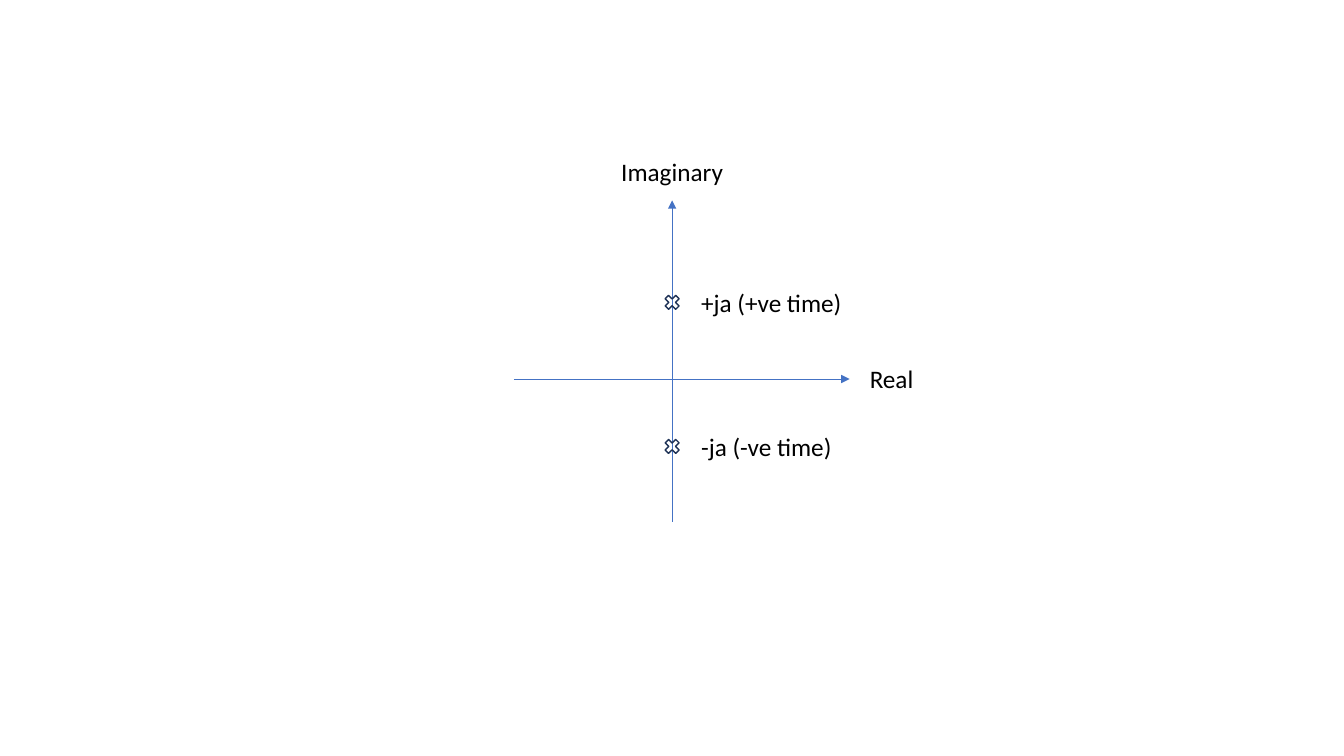
from lxml.etree import SubElement
from pptx import Presentation
from pptx.dml.color import RGBColor
from pptx.enum.shapes import MSO_CONNECTOR, MSO_SHAPE
from pptx.enum.text import MSO_ANCHOR, PP_ALIGN
from pptx.oxml.ns import qn
from pptx.util import Cm, Pt

COLORS = {"axis": "4472C4", "pole": "1E3256", "text": "000000"}
LABEL_FONT = {"name": "Calibri", "size": Pt(18)}
LABEL_HEIGHT = 1.02
POLE_SIZE = 0.51


def color(role):
    return RGBColor.from_string(COLORS[role])


def add_axis(slide, start, end):
    axis = slide.shapes.add_connector(
        MSO_CONNECTOR.STRAIGHT, *(Cm(value) for value in (*start, *end)))
    axis.line.color.rgb = color("axis")
    axis.line.width = Pt(0.5)
    SubElement(axis.line._get_or_add_ln(), qn("a:tailEnd"), type="triangle")
    SubElement(axis._element.spPr, qn("a:effectLst"))


def add_pole(slide, center_x, center_y):
    pole = slide.shapes.add_shape(
        MSO_SHAPE.MATH_MULTIPLY, Cm(center_x - POLE_SIZE / 2),
        Cm(center_y - POLE_SIZE / 2), Cm(POLE_SIZE), Cm(POLE_SIZE))
    pole.shadow.inherit = False
    pole.fill.background()
    pole.line.color.rgb = color("pole")
    pole.line.width = Pt(1)


def add_label(slide, text, left, center_y, width, align=PP_ALIGN.LEFT):
    label = slide.shapes.add_textbox(
        Cm(left), Cm(center_y - LABEL_HEIGHT / 2), Cm(width), Cm(LABEL_HEIGHT))
    frame = label.text_frame
    frame.word_wrap = True
    frame.vertical_anchor = MSO_ANCHOR.TOP
    paragraph = frame.paragraphs[0]
    paragraph.alignment = align
    run = paragraph.add_run()
    run.text = text
    for attribute, value in LABEL_FONT.items():
        setattr(run.font, attribute, value)
    run.font.color.rgb = color("text")


def add_complex_plane(slide, left, top, width, height):
    """Draw both axes to fill the box, with the pole pair on the imaginary one."""
    origin_x, origin_y = left + 3.99, top + 4.5
    right, bottom = left + width, top + height
    add_axis(slide, (origin_x, bottom), (origin_x, top))
    add_axis(slide, (left, origin_y), (right, origin_y))

    poles = [("+ja (+ve time)", top + 2.57, 5.18),
             ("-ja (-ve time)", top + 6.2, 3.99)]
    for text, center_y, label_width in poles:
        add_pole(slide, origin_x, center_y)
        add_label(slide, text, origin_x + 0.48, center_y, label_width)

    add_label(slide, "Real", right + 0.26, origin_y, 2.84)
    name_width = 3.28
    add_label(slide, "Imaginary", origin_x - name_width / 2, top - 0.73,
              name_width, PP_ALIGN.CENTER)


def main():
    deck = Presentation()
    deck.slide_width, deck.slide_height = Cm(33.87), Cm(19.05)
    blank_layout = deck.slide_layouts[6]
    slide = deck.slides.add_slide(blank_layout)
    add_complex_plane(slide, left=12.95, top=5.05, width=8.46, height=8.1)
    deck.save("out.pptx")


if __name__ == "__main__":
    main()
